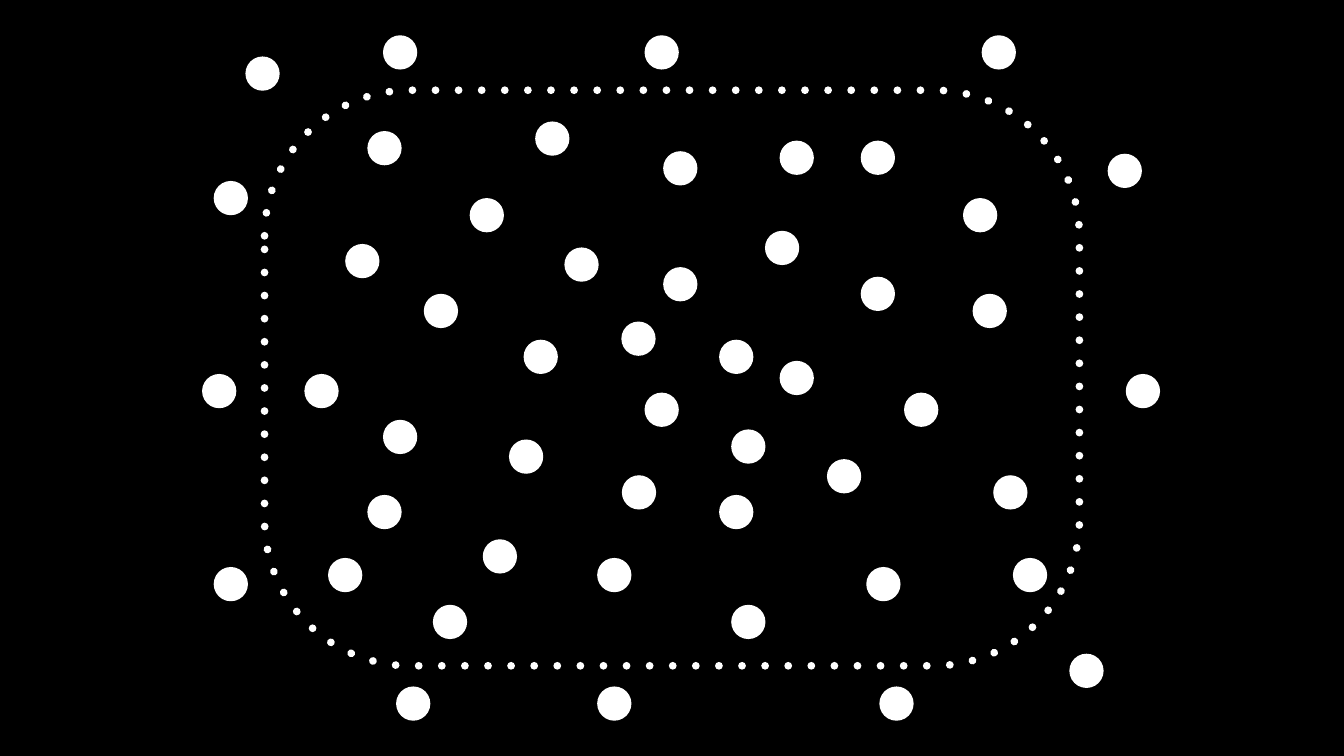
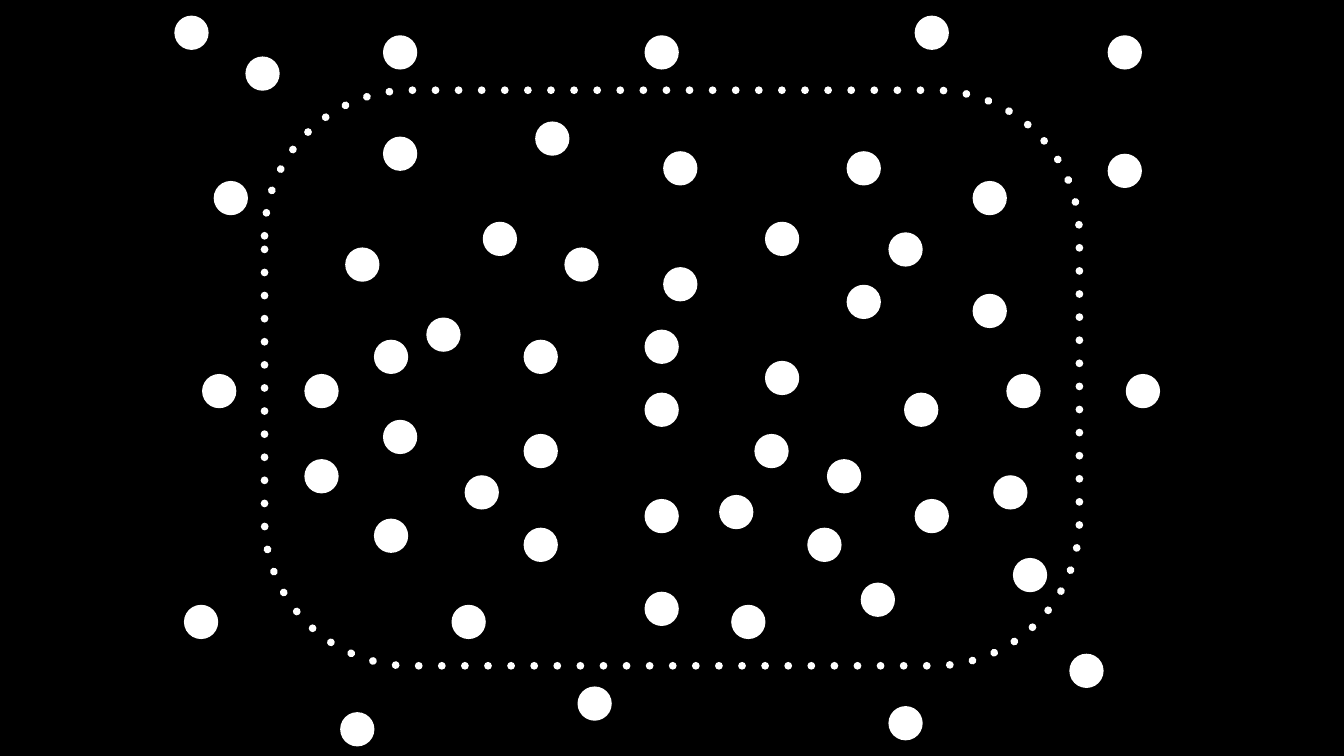
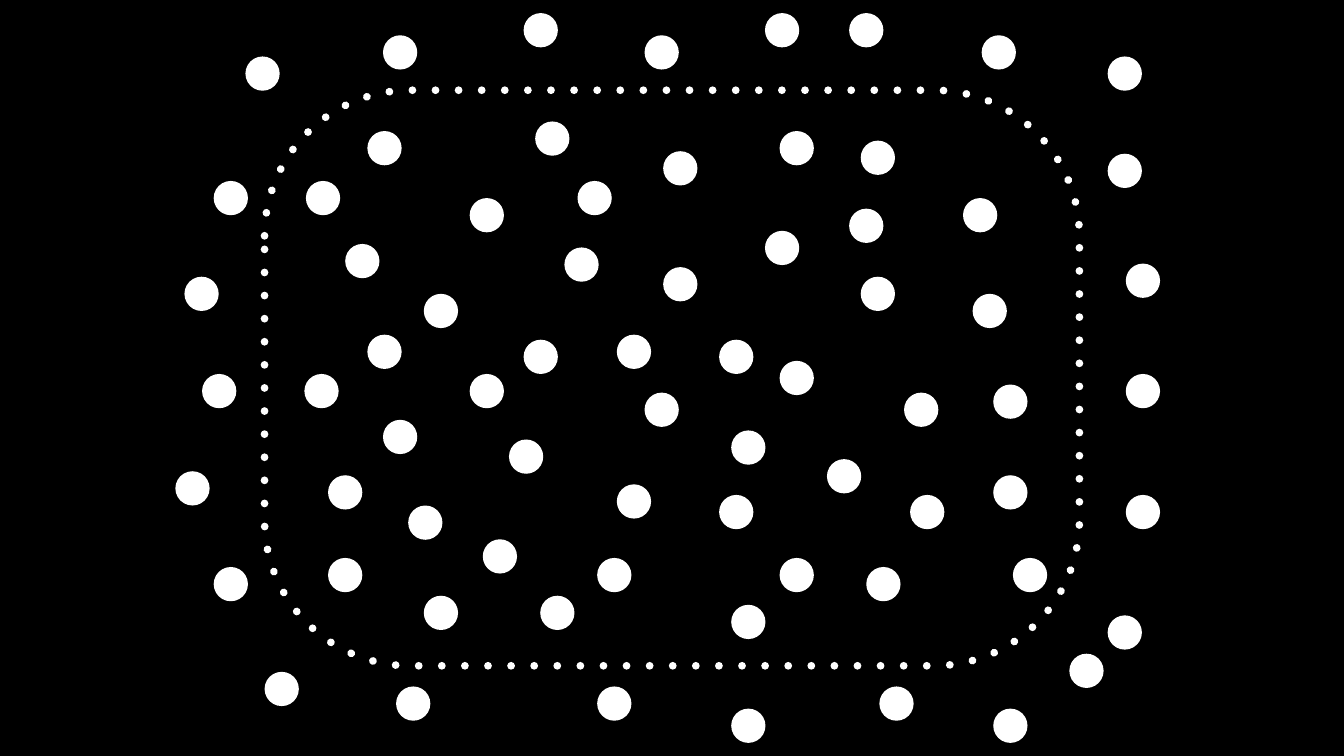
from lxml import etree
from pptx import Presentation
from pptx.dml.color import RGBColor
from pptx.enum.shapes import MSO_SHAPE
from pptx.oxml.ns import qn
from pptx.util import Inches, Pt

OVAL = MSO_SHAPE.OVAL
ROUNDED = MSO_SHAPE.ROUNDED_RECTANGLE
BLANK_LAYOUT = 6

COLORS = {"background": "000000", "dot": "FFFFFF", "frame": "FFFFFF"}
FRAME = (5.25, 1.79, 16.17, 11.42)
FRAME_ROUNDING = 0.253
FRAME_WIDTH = 11
DOT_SIZE = 0.68

# Left and top of each dot, in inches
DOTS_EVERYWHERE = [
    (7.6, 0.7), (11.2, 4.91), (10.62, 2.41), (7.6, 8.33), (13.16, 5.3),
    (19.3, 5.83), (17.94, 7.79), (19.71, 9.43), (16.41, 9.11), (14.27, 9.82),
    (20.1, 11.07), (21.22, 12.97), (14.51, 12), (4.01, 7.42), (6.04, 7.42),
    (10.39, 6.74), (4.24, 3.59), (4.87, 1.12), (12.79, 0.7), (21.98, 3.05),
    (22.34, 7.42), (13.16, 3), (12.79, 7.79),
]
DOTS_FIRST_AND_LAST = [
    (7.29, 2.6), (9.32, 3.93), (8.41, 5.83), (6.85, 4.84), (10.1, 8.72),
    (15.18, 4.58), (17.08, 2.79), (19.11, 3.93), (17.08, 5.49), (15.47, 7.16),
    (11.85, 11.07), (9.58, 10.7), (6.51, 11.07), (17.19, 11.25), (17.45, 13.62),
    (11.85, 13.62), (7.86, 13.62), (4.24, 11.25), (19.48, 0.7), (14.27, 6.74),
]
DOTS_FIRST = [
    (7.29, 9.82), (8.59, 12), (12.34, 9.43), (12.33, 6.38), (15.47, 2.79),
    (14.51, 8.52),
]
DOTS_MIDDLE = [
    (7.6, 2.71), (9.58, 4.4), (8.46, 6.3), (6.85, 4.91), (10.39, 8.61),
    (15.18, 4.4), (16.8, 3), (21.98, 0.7), (16.8, 5.65), (15.18, 7.16),
    (12.79, 9.9), (10.39, 10.47), (7.42, 10.29), (18.15, 9.9), (17.08, 11.56),
    (12.79, 11.74), (8.96, 12), (6.04, 9.11), (19.3, 3.59), (3.65, 12),
    (6.75, 14.13), (11.46, 13.62), (17.63, 14.01), (18.15, 0.31), (3.46, 0.31),
    (9.22, 9.43), (7.42, 6.74), (12.79, 6.54), (14.97, 8.61), (16.02, 10.47),
    (19.97, 7.42), (17.63, 4.61),
]
DOTS_LAST = [
    (8.1, 10.03), (6.51, 9.43), (7.29, 6.64), (9.32, 7.42), (12.24, 9.61),
    (19.71, 7.63), (18.06, 9.82), (15.47, 11.07), (14.51, 8.54), (15.47, 2.6),
    (16.85, 4.14), (11.46, 3.59), (12.24, 6.64), (6.07, 3.59), (8.41, 11.82),
    (10.72, 11.82), (5.25, 13.33), (3.66, 5.49), (3.48, 9.35), (10.39, 0.26),
    (16.85, 0.26), (15.18, 0.26), (21.98, 1.12), (22.34, 5.23), (22.34, 9.82),
    (21.98, 12.21), (19.71, 14.06), (14.51, 14.06),
]
PAGES = [
    DOTS_EVERYWHERE + DOTS_FIRST_AND_LAST + DOTS_FIRST,
    DOTS_EVERYWHERE + DOTS_MIDDLE,
    DOTS_EVERYWHERE + DOTS_FIRST_AND_LAST + DOTS_LAST,
]


def add_frame(page):
    """Add the rounded outline drawn as a row of round points."""
    frame = page.shapes.add_shape(ROUNDED, *map(Inches, FRAME))
    frame.adjustments[0] = FRAME_ROUNDING
    frame.shadow.inherit = False
    frame.fill.background()
    frame.line.color.rgb = RGBColor.from_string(COLORS["frame"])
    frame.line.width = Pt(FRAME_WIDTH)
    outline = frame.line._get_or_add_ln()
    outline.set("cap", "rnd")
    dashes = etree.SubElement(outline, qn("a:custDash"))
    etree.SubElement(dashes, qn("a:ds"), d="100000", sp="200000")


def add_dot(page, left, top):
    dot = page.shapes.add_shape(OVAL, *map(Inches, (left, top, DOT_SIZE, DOT_SIZE)))
    dot.shadow.inherit = False
    dot.fill.solid()
    dot.fill.fore_color.rgb = RGBColor.from_string(COLORS["dot"])
    dot.line.fill.background()


deck = Presentation()
deck.slide_width = Inches(26.67)
deck.slide_height = Inches(15)

backdrop = deck.slide_master.background.fill
backdrop.solid()
backdrop.fore_color.rgb = RGBColor.from_string(COLORS["background"])

for dots in PAGES:
    page = deck.slides.add_slide(deck.slide_layouts[BLANK_LAYOUT])
    add_frame(page)
    for left, top in dots:
        add_dot(page, left, top)

deck.save("out.pptx")
